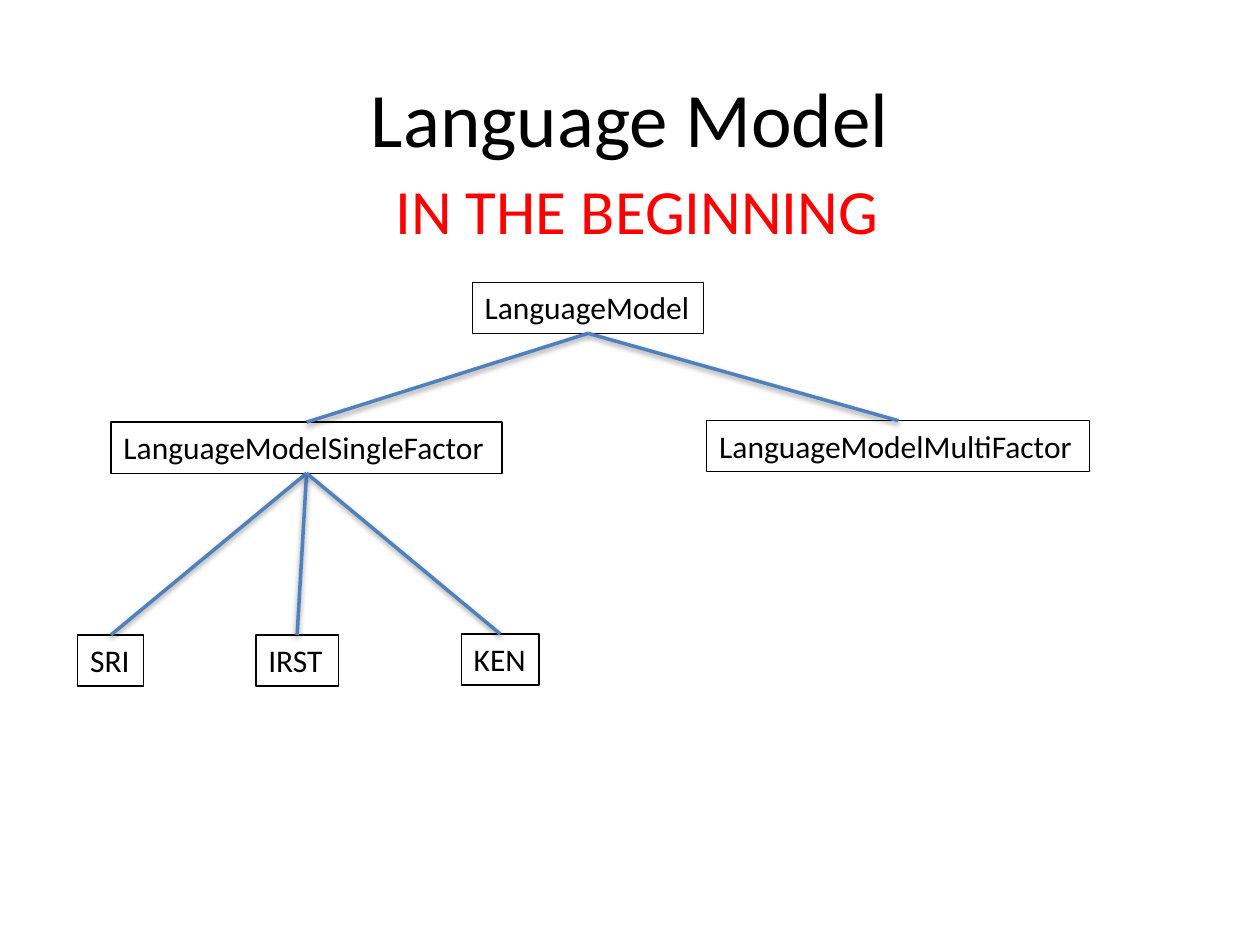
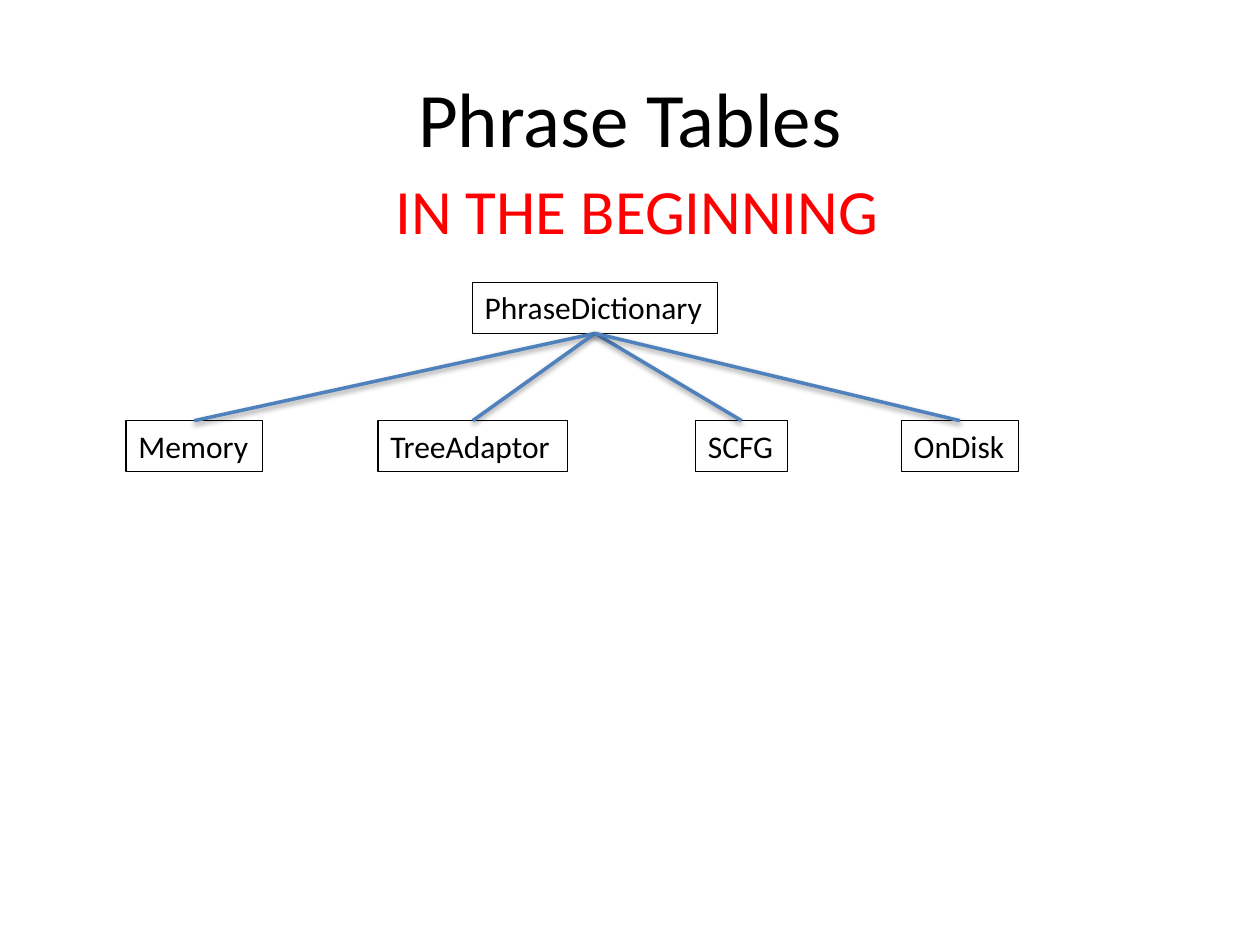
"""Build two class-hierarchy slides: language models and phrase tables."""
from lxml.etree import SubElement
from pptx import Presentation
from pptx.dml.color import RGBColor
from pptx.enum.shapes import MSO_CONNECTOR
from pptx.enum.text import MSO_ANCHOR, MSO_AUTO_SIZE, PP_ALIGN
from pptx.oxml.ns import qn
from pptx.util import Cm, Pt

BLACK, RED, BLUE = "000000", "FF0000", "4F81BD"
FONT = "Calibri"
CLASS_HEIGHT = 1.03
ROOT_LEFT, ROOT_TOP = 9.52, 5.69
BOTTOM, TOP = 2, 0


def color(hex_string):
    return RGBColor.from_string(hex_string)


def add_text(slide, text, left, top, width, height, size=18, ink=BLACK,
             outline=None, centered=False):
    box = slide.shapes.add_textbox(Cm(left), Cm(top), Cm(width), Cm(height))
    frame = box.text_frame
    frame.word_wrap = centered
    if centered:
        frame.vertical_anchor = MSO_ANCHOR.MIDDLE
    else:
        frame.auto_size = MSO_AUTO_SIZE.SHAPE_TO_FIT_TEXT
    paragraph = frame.paragraphs[0]
    paragraph.alignment = PP_ALIGN.CENTER if centered else PP_ALIGN.LEFT
    run = paragraph.add_run()
    run.text = text
    run.font.name, run.font.size = FONT, Pt(size)
    run.font.color.rgb = color(ink)
    if outline:
        box.line.color.rgb = color(outline)
        box.line.width = Pt(0.75)
    return box


# name, parent, left, top, width
hierarchies = {
    "Language Model": [
        ("LanguageModel", None, ROOT_LEFT, ROOT_TOP, 4.67),
        ("LanguageModelSingleFactor", "LanguageModel", 2.24, 8.51, 7.88),
        ("LanguageModelMultiFactor", "LanguageModel", 14.25, 8.48, 7.72),
        ("SRI", "LanguageModelSingleFactor", 1.57, 12.8, 1.33),
        ("IRST", "LanguageModelSingleFactor", 5.16, 12.8, 1.66),
        ("KEN", "LanguageModelSingleFactor", 9.3, 12.78, 1.57),
    ],
    "Phrase Tables": [
        ("PhraseDictionary", None, ROOT_LEFT, ROOT_TOP, 4.95),
        ("Memory", "PhraseDictionary", 2.54, 8.48, 2.75),
        ("TreeAdaptor", "PhraseDictionary", 7.62, 8.48, 3.82),
        ("SCFG", "PhraseDictionary", 14.02, 8.48, 1.86),
        ("OnDisk", "PhraseDictionary", 18.17, 8.48, 2.36),
    ],
}

deck = Presentation()
deck.slide_width, deck.slide_height = Cm(25.4), Cm(19.05)

for title, classes in hierarchies.items():
    slide = deck.slides.add_slide(deck.slide_layouts[6])
    add_text(slide, title, 1.27, 0.76, 22.86, 3.18, size=44, centered=True)
    add_text(slide, "IN THE BEGINNING", 7.72, 3.33, 10.36, 1.8, size=36, ink=RED)

    class_boxes = {}
    for name, parent, left, top, width in classes:
        class_boxes[name] = add_text(slide, name, left, top, width, CLASS_HEIGHT,
                                     outline=BLACK)

    for name, parent, *position in classes:
        if parent is None:
            continue
        branch = slide.shapes.add_connector(MSO_CONNECTOR.STRAIGHT, 0, 0, 0, 0)
        branch.begin_connect(class_boxes[parent], BOTTOM)
        branch.end_connect(class_boxes[name], TOP)
        branch.line.color.rgb = color(BLUE)
        branch.line.width = Pt(2)
        effects = SubElement(branch._element.spPr, qn("a:effectLst"))
        shadow = SubElement(effects, qn("a:outerShdw"), blurRad="40000",
                            dist="20000", dir="5400000", rotWithShape="0")
        shade = SubElement(shadow, qn("a:srgbClr"), val=BLACK)
        SubElement(shade, qn("a:alpha"), val="38000")

deck.save("out.pptx")
